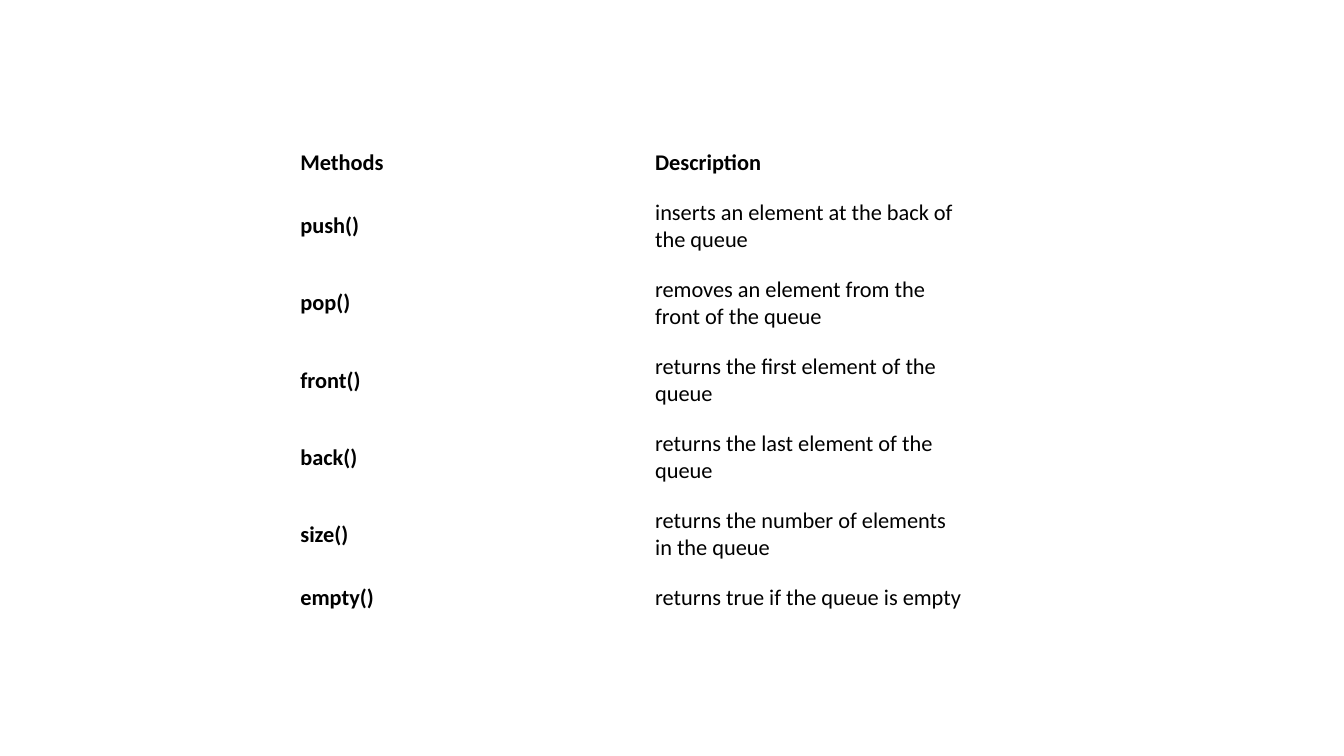
from pptx import Presentation
from pptx.dml.color import RGBColor
from pptx.enum.text import MSO_ANCHOR, PP_ALIGN
from pptx.util import Cm, Pt

COLORS = {"text": "000000"}
QUEUE_METHODS = [
    ("Methods", "Description"),
    ("push()", "inserts an element at the back of the queue"),
    ("pop()", "removes an element from the front of the queue"),
    ("front()", "returns the first element of the queue"),
    ("back()", "returns the last element of the queue"),
    ("size()", "returns the number of elements in the queue"),
    ("empty()", "returns true if the queue is empty"),
]
SHORT_ROW, TALL_ROW = 1.24, 1.93
ROW_HEIGHTS = [SHORT_ROW] + [TALL_ROW] * 5 + [SHORT_ROW]


class SlideBuilder:
    """Hold the text style and the current slide."""

    def __init__(self, slide, font="Calibri", size=16):
        self.slide = slide
        self.font = font
        self.size = size

    def add_run(self, paragraph, text, bold):
        run = paragraph.add_run()
        run.text = text
        run.font.name = self.font
        run.font.size = Pt(self.size)
        run.font.bold = bold
        run.font.color.rgb = RGBColor.from_string(COLORS["text"])

    def fill_cell(self, cell, text, bold):
        cell.fill.background()
        cell.vertical_anchor = MSO_ANCHOR.MIDDLE
        cell.margin_left = cell.margin_right = Cm(0.56)
        cell.margin_top = cell.margin_bottom = Cm(0.28)
        paragraph = cell.text_frame.paragraphs[0]
        paragraph.alignment = PP_ALIGN.LEFT
        self.add_run(paragraph, text, bold)

    def add_table(self, rows, heights, left, top, column_width):
        columns = len(rows[0])
        shape = self.slide.shapes.add_table(
            len(rows), columns, Cm(left), Cm(top),
            Cm(column_width * columns), Cm(sum(heights)))
        table = shape.table
        table.first_row = table.horz_banding = False
        for column in table.columns:
            column.width = Cm(column_width)
        for row_index, (texts, height) in enumerate(zip(rows, heights)):
            table.rows[row_index].height = Cm(height)
            for column_index, text in enumerate(texts):
                bold = row_index == 0 or column_index == 0
                self.fill_cell(table.cell(row_index, column_index), text, bold)


def main():
    presentation = Presentation()
    presentation.slide_width = Cm(33.87)
    presentation.slide_height = Cm(19.05)
    slide = presentation.slides.add_slide(presentation.slide_layouts[6])
    builder = SlideBuilder(slide)
    builder.add_table(QUEUE_METHODS, ROW_HEIGHTS, left=7.01, top=3.48, column_width=8.94)
    presentation.save("out.pptx")


if __name__ == "__main__":
    main()
